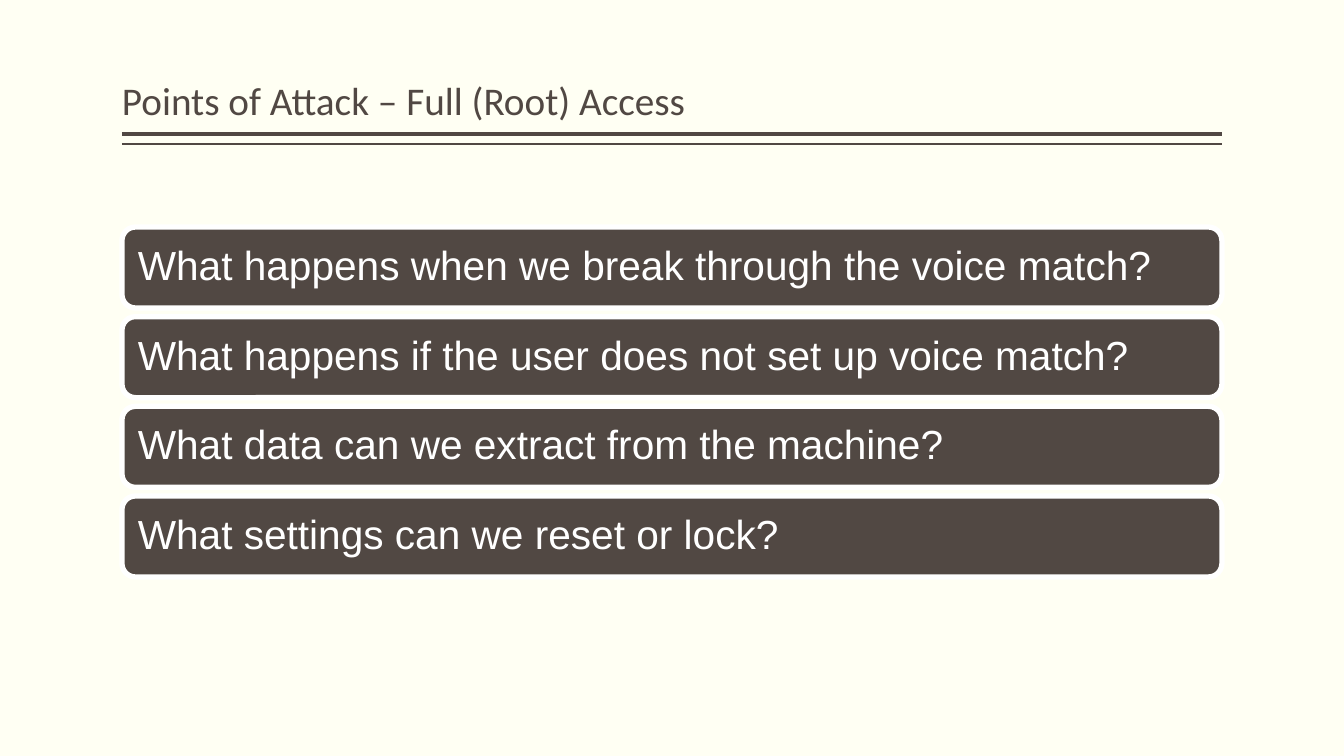
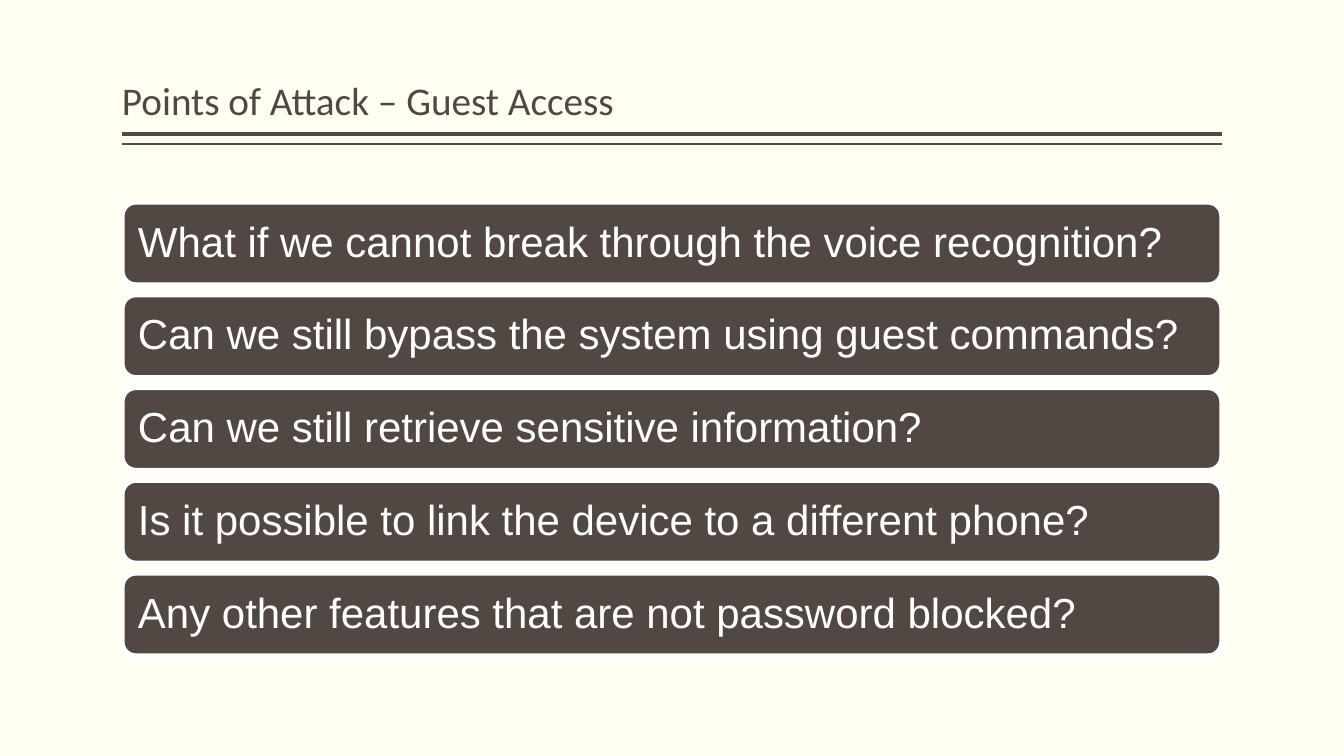
from dataclasses import dataclass

from lxml import etree
from pptx import Presentation
from pptx import util as u
from pptx.dml.color import RGBColor
from pptx.enum import shapes, text
from pptx.oxml.ns import qn

# Content: title, bar type size, list top, list bottom, bar height (px), questions
SLIDES = [
    ("Points of Attack – Full (Root) Access", 29, 227, 577, 81, [
        "What happens when we break through the voice match?",
        "What happens if the user does not set up voice match?",
        "What data can we extract from the machine?",
        "What settings can we reset or lock?",
    ]),
    ("Points of Attack – Guest Access", 30, 202, 656, 83, [
        "What if we cannot break through the voice recognition?",
        "Can we still bypass the system using guest commands?",
        "Can we still retrieve sensitive information?",
        "Is it possible to link the device to a different phone?",
        "Any other features that are not password blocked?",
    ]),
]
RULES = [(134, 3), (144, 1)]  # y in px, weight in points


@dataclass(frozen=True)
class Theme:
    paper: RGBColor = RGBColor.from_string("FFFFF3")
    brown: RGBColor = RGBColor.from_string("514843")
    white: RGBColor = RGBColor.from_string("FFFFFF")
    title_font: str = "Calibri"
    bar_font: str = "Arial"
    title_size: int = 28
    bar_line: float = 3.78
    line_spacing: float = 0.9


THEME = Theme()
WIDTH, HEIGHT = 1344, 756
LEFT, CONTENT_WIDTH = 122, 1100
TITLE_TOP, TITLE_HEIGHT = 8, 121
BAR_INSET = 12


def px(length):
    return u.Emu(round(length * 914400 / 100.8))


def place(shape, left, top, width, height):
    shape.left, shape.top = px(left), px(top)
    shape.width, shape.height = px(width), px(height)


def set_frame(frame, anchor, side, vertical):
    frame.word_wrap = True
    frame.auto_size = text.MSO_AUTO_SIZE.NONE
    frame.vertical_anchor = anchor
    frame.margin_left = frame.margin_right = px(side)
    frame.margin_top = frame.margin_bottom = px(vertical)


def write(frame, words, font, size, color):
    paragraph = frame.paragraphs[0]
    paragraph.alignment = text.PP_ALIGN.LEFT
    paragraph.line_spacing = THEME.line_spacing
    run = paragraph.add_run()
    run.text = words
    run.font.name, run.font.size = font, u.Pt(size)
    run.font.color.rgb = color


def set_up_layout(layout, first_slide):
    """Give the layout its background, title place and double rule."""
    layout.background.fill.solid()
    layout.background.fill.fore_color.rgb = THEME.paper
    title = layout.placeholders[0]
    place(title, LEFT, TITLE_TOP, CONTENT_WIDTH, TITLE_HEIGHT)
    set_frame(title.text_frame, text.MSO_ANCHOR.BOTTOM, 0, 5)
    for y, weight in RULES:
        rule = first_slide.shapes.add_connector(
            shapes.MSO_CONNECTOR.STRAIGHT,
            px(LEFT), px(y), px(LEFT + CONTENT_WIDTH), px(y))
        rule.line.color.rgb = THEME.brown
        rule.line.width = u.Pt(weight)
        etree.SubElement(rule.element.spPr, qn("a:effectLst"))
        # Move the rule to the layout so that every slide shows it
        layout.shapes.element.append(rule.element)


def add_bar(slide, question, top, height, size):
    bar = slide.shapes.add_shape(
        shapes.MSO_SHAPE.ROUNDED_RECTANGLE,
        px(LEFT), px(top), px(CONTENT_WIDTH), px(height))
    bar.shadow.inherit = False
    bar.fill.solid()
    bar.fill.fore_color.rgb = THEME.brown
    bar.line.color.rgb = THEME.white
    bar.line.width = u.Pt(THEME.bar_line)
    set_frame(bar.text_frame, text.MSO_ANCHOR.MIDDLE, BAR_INSET, BAR_INSET)
    write(bar.text_frame, question, THEME.bar_font, size, THEME.white)


def main():
    deck = Presentation()
    deck.slide_width, deck.slide_height = px(WIDTH), px(HEIGHT)
    layout = deck.slide_layouts.get_by_name("Title Only")

    for number, (title, size, top, bottom, height, questions) in enumerate(SLIDES):
        slide = deck.slides.add_slide(layout)
        if number == 0:
            set_up_layout(layout, slide)
        write(slide.shapes.title.text_frame, title,
              THEME.title_font, THEME.title_size, THEME.brown)
        # Spread the bars evenly between top and bottom
        pitch = (bottom - top - height) / (len(questions) - 1)
        for row, question in enumerate(questions):
            add_bar(slide, question, top + row * pitch, height, size)

    deck.save("out.pptx")


if __name__ == "__main__":
    main()
